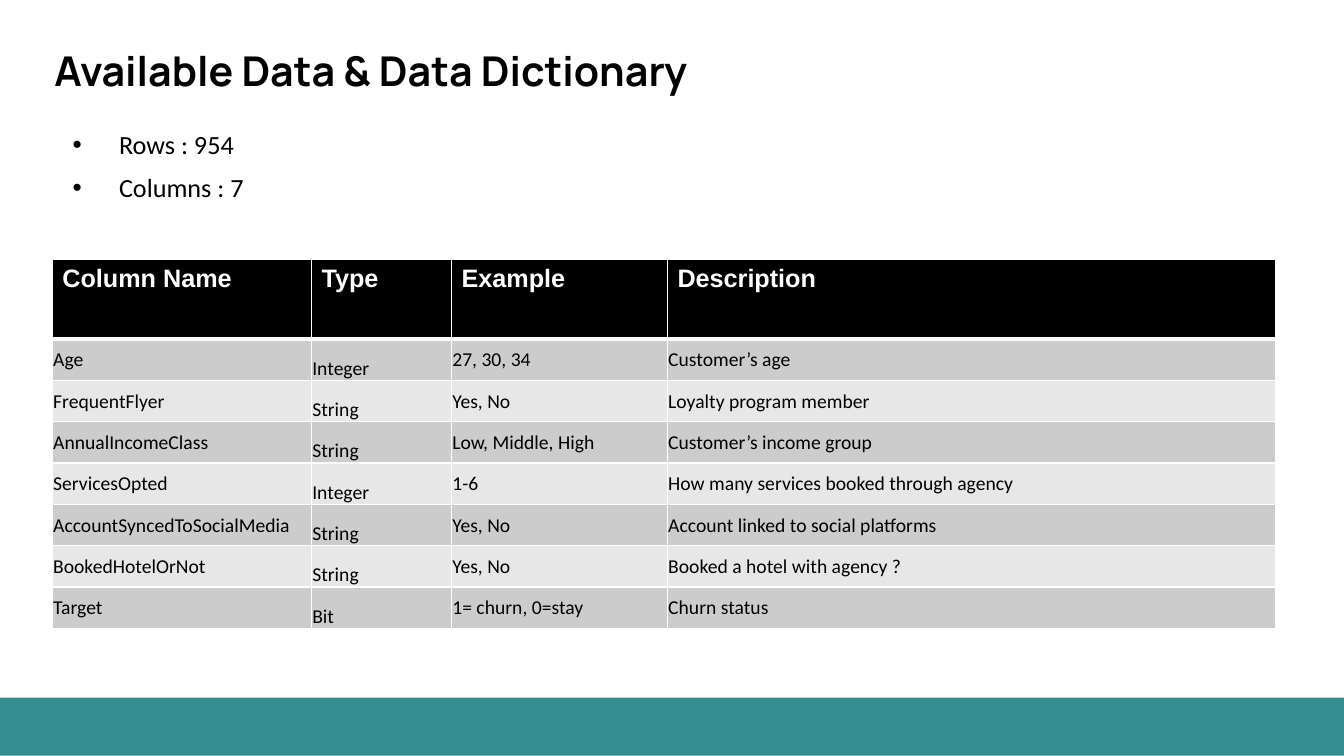
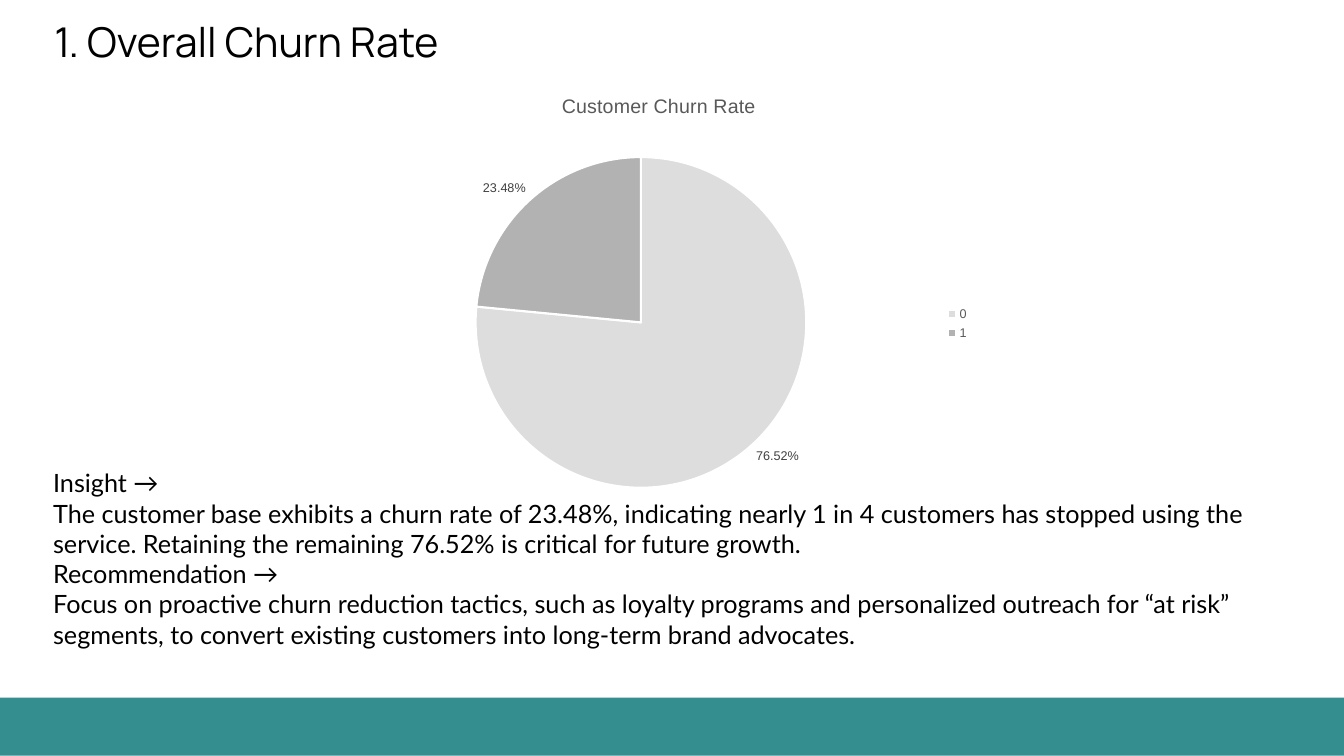
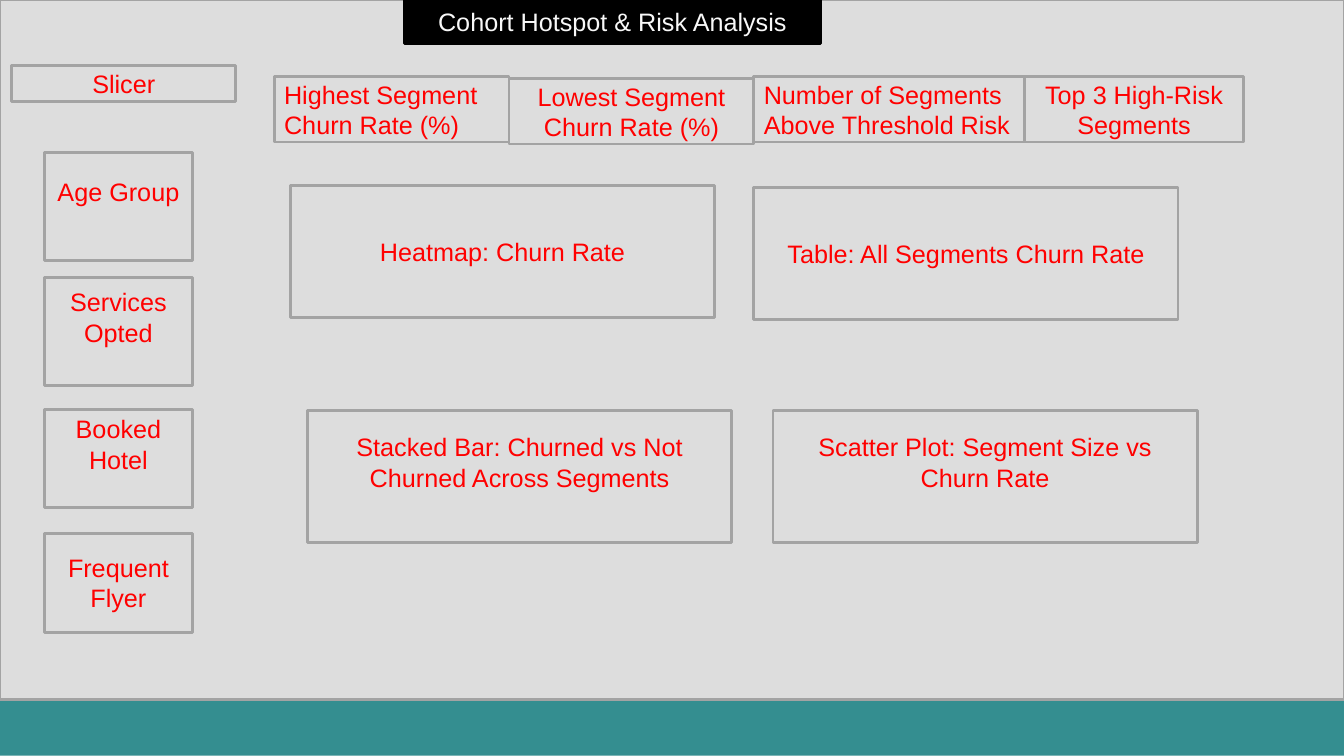
from dataclasses import dataclass
from itertools import accumulate

from lxml import etree
from pptx import Presentation
from pptx.chart.data import CategoryChartData
from pptx.dml.color import RGBColor
from pptx.enum.chart import XL_CHART_TYPE as ChartType
from pptx.enum.chart import XL_LABEL_POSITION as LabelPosition
from pptx.enum.chart import XL_LEGEND_POSITION as LegendPosition
from pptx.enum.shapes import MSO_SHAPE as Shape
from pptx.enum.text import MSO_ANCHOR as Anchor
from pptx.enum.text import PP_ALIGN as Align
from pptx.oxml.ns import qn
from pptx.util import Cm, Pt


@dataclass(frozen=True)
class Theme:
    black: str = "000000"
    white: str = "FFFFFF"
    band: str = "348E90"
    panel: str = "DDDDDD"
    outline: str = "A3A3A3"
    accent: str = "FF0000"
    banner_text: str = "F8F8F8"
    row_fills: tuple = ("CCCCCC", "E7E7E7")
    slice_fills: tuple = ("DDDDDD", "B2B2B2")
    chart_text: str = "595959"
    label_text: str = "404040"
    title_font: str = "Manrope"
    body_font: str = "Calibri"
    insight_font: str = "Lato"
    main_font: str = "Arial"
    title_size: float = 29.3
    bullet_size: float = 18.7
    text_size: float = 18
    cell_size: float = 14
    chart_title_size: float = 14
    chart_size: float = 10
    small_size: float = 9


@dataclass(frozen=True)
class Box:
    left: float
    top: float
    width: float
    height: float

    def lengths(self):
        return [Cm(n) for n in (self.left, self.top, self.width, self.height)]

    def inner(self, left, top, width, height):
        return Box(self.left + left, self.top + top, width, height)


THEME = Theme()
PAGE = Box(0, 0, 33.87, 19.05)
MARGIN = 1.12


# Shared helpers
def rgb(color):
    return RGBColor.from_string(color)


def style_font(font, name, size, color, bold=False):
    font.name = name
    font.size = Pt(size)
    font.color.rgb = rgb(color)
    font.bold = bold


def style_runs(text_frame, *style):
    for paragraph in text_frame.paragraphs:
        for run in paragraph.runs:
            style_font(run.font, *style)


def set_insets(target, left, top, right, bottom):
    target.margin_left, target.margin_top = Cm(left), Cm(top)
    target.margin_right, target.margin_bottom = Cm(right), Cm(bottom)


def add_rectangle(slide, box, fill, line=None):
    shape = slide.shapes.add_shape(Shape.RECTANGLE, *box.lengths())
    shape.shadow.inherit = False
    shape.fill.solid()
    shape.fill.fore_color.rgb = rgb(fill)
    if line:
        shape.line.color.rgb = rgb(line)
        shape.line.width = Pt(2)
    else:
        shape.line.fill.background()
    return shape


def add_text(slide, box, text, *style):
    text_frame = slide.shapes.add_textbox(*box.lengths()).text_frame
    text_frame.word_wrap = True
    text_frame.text = text
    style_runs(text_frame, *style)
    return text_frame


def add_base_slide(presentation):
    slide = presentation.slides.add_slide(presentation.slide_layouts[6])
    add_rectangle(slide, Box(0, 17.58, PAGE.width, 1.46), THEME.band)
    return slide


def add_title(slide, box, text, bold=False):
    text_frame = add_text(slide, box, text, THEME.title_font, THEME.title_size,
                          THEME.black, bold)
    text_frame.vertical_anchor = Anchor.BOTTOM
    set_insets(text_frame, 0.25, 0.25, 0.25, 0.25)


# Data dictionary
def add_bullets(slide, box, lines):
    text_frame = add_text(slide, box, "\n".join(lines), THEME.body_font,
                          THEME.bullet_size, THEME.black)
    set_insets(text_frame, 0.18, 0.1, 0.18, 0.1)
    for index, paragraph in enumerate(text_frame.paragraphs):
        properties = paragraph._p.get_or_add_pPr()
        properties.set("marL", str(Cm(1.7)))
        properties.set("indent", str(-Cm(1.17)))
        etree.SubElement(properties, qn("a:buFont"), typeface=THEME.main_font)
        etree.SubElement(properties, qn("a:buChar"), char="•")
        paragraph.line_spacing = 0.9
        paragraph.space_before = Pt(10.7 if index else 0)


def set_borders(cell, widths):
    properties = cell._tc.get_or_add_tcPr()
    for side, width in zip("LRTB", widths):
        line = etree.SubElement(properties, qn(f"a:ln{side}"), w=str(Pt(width)))
        fill = etree.SubElement(line, qn("a:solidFill"))
        etree.SubElement(fill, qn("a:srgbClr"), val=THEME.white)


def add_dictionary_table(slide, box, header, rows, widths, header_height):
    records = [header, *rows]
    table = slide.shapes.add_table(len(records), len(header), *box.lengths()).table
    table.horz_banding = False
    for column, width in zip(table.columns, widths):
        column.width = Cm(width)
    row_height = (box.height - header_height) / len(rows)
    for r, record in enumerate(records):
        is_header = r == 0
        table.rows[r].height = Cm(header_height if is_header else row_height)
        for c, text in enumerate(record):
            cell = table.cell(r, c)
            cell.text = text
            set_borders(cell, (1, 1, 3 if r == 1 else 1, 3 if is_header else 1))
            cell.fill.solid()
            if is_header:
                cell.fill.fore_color.rgb = rgb(THEME.black)
                style = (THEME.main_font, THEME.text_size, THEME.white, True)
            else:
                cell.fill.fore_color.rgb = rgb(THEME.row_fills[(r - 1) % 2])
                set_insets(cell, 0.02, 0.02, 0.02, 0)
                cell.vertical_anchor = Anchor.BOTTOM if c == 1 else Anchor.MIDDLE
                style = (THEME.body_font, THEME.cell_size, THEME.black)
            style_runs(cell.text_frame, *style)


def build_dictionary_slide(presentation):
    slide = add_base_slide(presentation)
    add_title(slide, Box(MARGIN, 0, 30.43, 2.64),
              "Available Data & Data Dictionary", bold=True)
    add_bullets(slide, Box(MARGIN, 3.23, 30.43, 2.5),
                ["Rows : 954", "Columns : 7"])
    add_dictionary_table(
        slide, Box(1.32, 6.54, 30.83, 9.3),
        ("Column Name", "Type", "Example", "Description"),
        [
            ("Age", "Integer", "27, 30, 34", "Customer’s age"),
            ("FrequentFlyer", "String", "Yes, No", "Loyalty program member"),
            ("AnnualIncomeClass", "String", "Low, Middle, High",
             "Customer’s income group"),
            ("ServicesOpted", "Integer", "1-6",
             "How many services booked through agency"),
            ("AccountSyncedToSocialMedia", "String", "Yes, No",
             "Account linked to social platforms"),
            ("BookedHotelOrNot", "String", "Yes, No", "Booked a hotel with agency ?"),
            ("Target", "Bit", "1= churn, 0=stay", "Churn status"),
        ],
        widths=(6.53, 3.53, 5.44, 15.33), header_height=2)


# Churn rate
def set_layout(element, index, **fractions):
    """Place a chart part by fractions of the chart area."""
    for layout in element.findall(qn("c:layout")):
        element.remove(layout)
    layout = etree.Element(qn("c:layout"))
    manual = etree.SubElement(layout, qn("c:manualLayout"))
    if element.tag == qn("c:plotArea"):
        etree.SubElement(manual, qn("c:layoutTarget"), val="inner")
    for axis in "xy":
        etree.SubElement(manual, qn(f"c:{axis}Mode"), val="edge")
    for key, value in fractions.items():
        etree.SubElement(manual, qn(f"c:{key}"), val=str(value))
    element.insert(index, layout)


def add_churn_pie(slide, box):
    data = CategoryChartData(number_format="0.00%")
    data.categories = ["0", "1"]
    data.add_series("Series 1", (0.7652, 0.2348))
    chart = slide.shapes.add_chart(ChartType.PIE, *box.lengths(), data).chart
    style_font(chart.font, THEME.main_font, THEME.chart_size, THEME.black)

    title = chart.chart_title
    title.text_frame.text = "Customer Churn Rate"
    style_runs(title.text_frame, THEME.main_font, THEME.chart_title_size,
               THEME.chart_text)
    set_layout(title._element, 1, x=0.43, y=0.04)

    chart.has_legend = True
    legend = chart.legend
    legend.position = LegendPosition.RIGHT
    legend.include_in_layout = False
    style_font(legend.font, THEME.main_font, THEME.small_size, THEME.chart_text)
    set_layout(legend._element, 1, x=0.71, y=0.53)

    plot = chart.plots[0]
    plot.vary_by_categories = True
    set_layout(plot._element.getparent(), 0, x=0.37, y=0.19, w=0.24, h=0.77)
    for index, color in enumerate(THEME.slice_fills):
        form = plot.series[0].points[index].format
        form.fill.solid()
        form.fill.fore_color.rgb = rgb(color)
        form.line.color.rgb = rgb(THEME.white)
        form.line.width = Pt(1.5)

    plot.has_data_labels = True
    labels = plot.data_labels
    labels.show_value = True
    labels.show_percentage = False
    labels.number_format = "0.00%"
    labels.number_format_is_linked = False
    labels.position = LabelPosition.OUTSIDE_END
    style_font(labels.font, THEME.main_font, THEME.small_size, THEME.label_text)


def add_findings(slide, box, findings):
    text_frame = add_text(slide, box, "", THEME.insight_font)
    for index, (heading, text) in enumerate(findings):
        paragraph = text_frame.add_paragraph() if index else text_frame.paragraphs[0]
        paragraph.text = f"{heading} →\v{text}"
    style_runs(text_frame, THEME.insight_font, THEME.text_size, THEME.black)


def build_churn_slide(presentation):
    slide = add_base_slide(presentation)
    add_churn_pie(slide, Box(-0.86, 1.83, 34.72, 10.95))
    add_title(slide, Box(MARGIN, 0, 29.64, 1.91), "1. Overall Churn Rate")
    add_findings(slide, Box(1.09, 11.66, 31.67, 4.88), [
        ("Insight",
         "The customer base exhibits a churn rate of 23.48%, indicating nearly "
         "1 in 4 customers has stopped using the service. Retaining the "
         "remaining 76.52% is critical for future growth."),
        ("Recommendation",
         "Focus on proactive churn reduction tactics, such as loyalty programs "
         "and personalized outreach for “at risk” segments, to convert existing "
         "customers into long-term brand advocates."),
    ])


# Dashboard wireframe
def add_card(slide, box, text, align=Align.CENTER, raised=False,
             fill=THEME.panel, line=THEME.outline, color=THEME.accent):
    text_frame = add_rectangle(slide, box, fill, line).text_frame
    text_frame.word_wrap = True
    text_frame.vertical_anchor = Anchor.MIDDLE
    set_insets(text_frame, 0.25, 0.13, 0.25, 0.86 if raised else 0.13)
    text_frame.text = text
    text_frame.paragraphs[0].alignment = align
    style_runs(text_frame, THEME.main_font, THEME.text_size, color)


def add_metric_row(slide, box):
    metrics = [
        ("Highest Segment Churn Rate (%)", 5.92, 0, Align.LEFT),
        ("Lowest Segment Churn Rate (%)", 6.17, 0.05, Align.CENTER),
        ("Number of Segments Above Threshold Risk", 6.82, 0, Align.LEFT),
        ("Top 3 High-Risk Segments", 5.52, 0, Align.CENTER),
    ]
    lefts = accumulate((metric[1] for metric in metrics), initial=0)
    for left, (text, width, drop, align) in zip(lefts, metrics):
        add_card(slide, box.inner(left, drop, width, box.height), text, align)


def add_chart_grid(slide, box):
    for left, top, text, raised in [
        (0, 0, "Heatmap: Churn Rate", False),
        (11.68, 0.05, "Table: All Segments Churn Rate", False),
        (0.43, 5.67, "Stacked Bar: Churned vs Not Churned Across Segments", True),
        (12.16, 5.67, "Scatter Plot: Segment Size vs Churn Rate", True),
    ]:
        add_card(slide, box.inner(left, top, 10.69, 3.33), text, raised=raised)


def add_slicers(slide, box):
    add_card(slide, box.inner(0, 0, box.width, 0.91), "Slicer")
    for top, height, text, raised in [
        (2.19, 2.72, "Age Group", True),
        (5.34, 2.72, "Services Opted", True),
        (8.66, 2.49, "Booked Hotel", True),
        (11.79, 2.49, "Frequent Flyer", False),
    ]:
        add_card(slide, box.inner(0.82, top, 3.73, height), text, raised=raised)


def build_dashboard_slide(presentation):
    slide = add_base_slide(presentation)
    add_rectangle(slide, Box(0, 0, PAGE.width, 17.63), THEME.panel, THEME.outline)
    add_card(slide, Box(10.19, 0, 10.49, 1.09), "Cohort Hotspot & Risk Analysis",
             fill=THEME.black, line=THEME.black, color=THEME.banner_text)
    add_metric_row(slide, Box(6.91, 1.93, 24.43, 1.65))
    add_chart_grid(slide, Box(7.32, 4.67, 22.85, 9))
    add_slicers(slide, Box(0.3, 1.65, 5.64, 14.28))


def main():
    presentation = Presentation()
    presentation.slide_width = Cm(PAGE.width)
    presentation.slide_height = Cm(PAGE.height)
    build_dictionary_slide(presentation)
    build_churn_slide(presentation)
    build_dashboard_slide(presentation)
    presentation.save("out.pptx")


if __name__ == "__main__":
    main()
